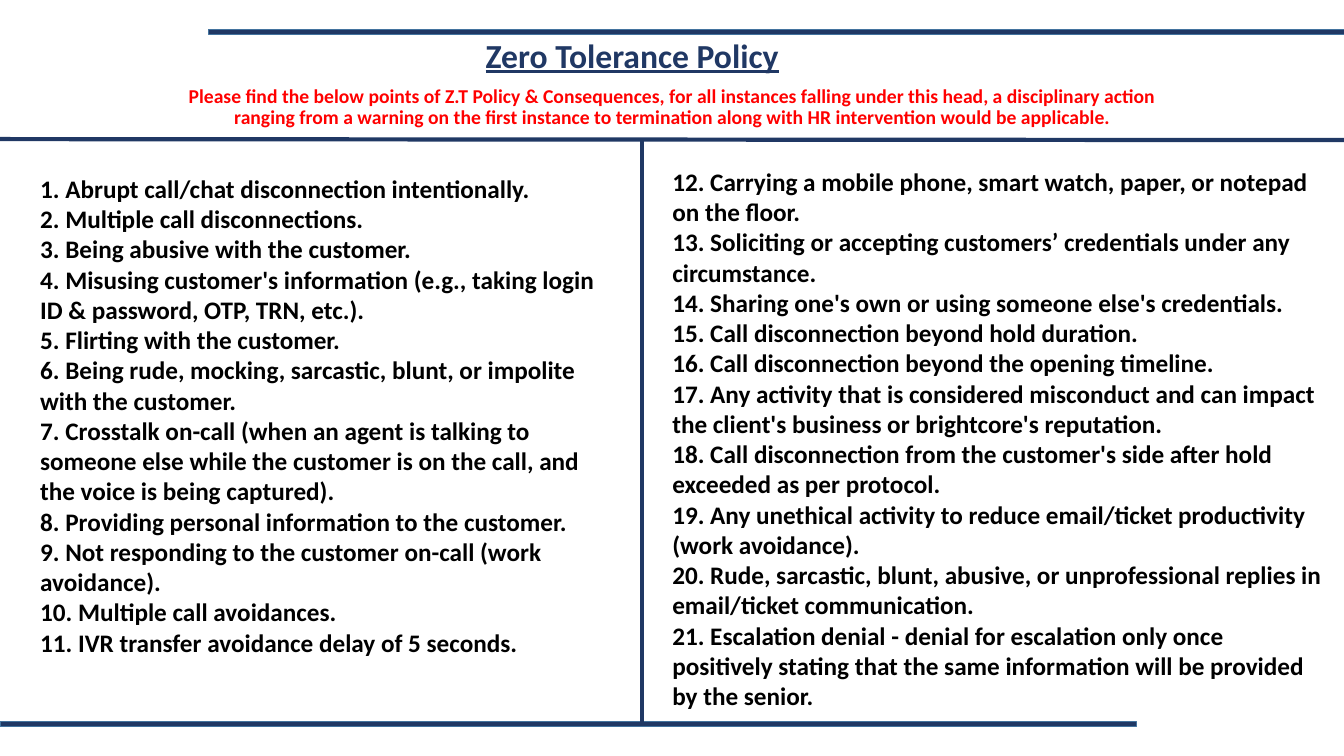
from lxml.etree import SubElement
from pptx import Presentation
from pptx.dml.color import RGBColor
from pptx.enum.shapes import MSO_CONNECTOR, MSO_SHAPE
from pptx.enum.text import MSO_ANCHOR, MSO_AUTO_SIZE, PP_ALIGN
from pptx.oxml.ns import qn
from pptx.util import Inches, Pt

NAVY = RGBColor(0x20, 0x38, 0x64)
EDGE = RGBColor(0x43, 0x73, 0x9E)
RED = RGBColor(0xFF, 0x00, 0x00)
BLACK = RGBColor(0x00, 0x00, 0x00)

TITLE = "Zero Tolerance Policy"
INTRO = (
    "Please find the below points of Z.T Policy & Consequences, for all instances "
    "falling under this head, a disciplinary action ranging from a warning on the "
    "first instance to termination along with HR intervention would be applicable."
)
LEFT = [
    "Abrupt call/chat disconnection intentionally.",
    "Multiple call disconnections.",
    "Being abusive with the customer.",
    "Misusing customer's information (e.g., taking login ID & password, OTP, TRN, etc.).",
    "Flirting with the customer.",
    "Being rude, mocking, sarcastic, blunt, or impolite with the customer.",
    "Crosstalk on-call (when an agent is talking to someone else while the customer "
    "is on the call, and the voice is being captured).",
    "Providing personal information to the customer.",
    "Not responding to the customer on-call (work avoidance).",
    "Multiple call avoidances.",
    "IVR transfer avoidance delay of 5 seconds.",
]
RIGHT = [
    "Carrying a mobile phone, smart watch, paper, or notepad on the floor.",
    "Soliciting or accepting customers’ credentials under any circumstance.",
    "Sharing one's own or using someone else's credentials.",
    "Call disconnection beyond hold duration.",
    "Call disconnection beyond the opening timeline.",
    "Any activity that is considered misconduct and can impact the client's business "
    "or brightcore's reputation.",
    "Call disconnection from the customer's side after hold exceeded as per protocol.",
    "Any unethical activity to reduce email/ticket productivity (work avoidance).",
    "Rude, sarcastic, blunt, abusive, or unprofessional replies in email/ticket "
    "communication.",
    "Escalation denial - denial for escalation only once positively stating that the "
    "same information will be provided by the senior.",
]


class Page:
    """Holds the style and the current slide."""

    face = "Calibri"

    def __init__(self, slide):
        self.slide = slide

    def style(self, para, size, color):
        font = para.font
        font.name, font.size, font.bold = self.face, Pt(size), True
        font.color.rgb = color

    def head(self, holder, text, box, size, color, anchor):
        holder.left, holder.top, holder.width, holder.height = map(Inches, box)
        frame = holder.text_frame
        frame.text = text
        frame.word_wrap = True
        frame.auto_size = MSO_AUTO_SIZE.NONE
        frame.vertical_anchor = anchor
        para = frame.paragraphs[0]
        para.alignment = PP_ALIGN.CENTER
        para.line_spacing = 0.9
        para.space_before = Pt(0)
        self.style(para, size, color)
        return para

    def bar(self, left, top):
        box = map(Inches, (left, top, 11.27, 0.05))
        shape = self.slide.shapes.add_shape(MSO_SHAPE.RECTANGLE, *box)
        shape.shadow.inherit = False
        shape.fill.solid()
        shape.fill.fore_color.rgb = NAVY
        shape.line.color.rgb = EDGE
        shape.line.width = Pt(1)

    def points(self, items, first, box):
        shape = self.slide.shapes.add_textbox(*map(Inches, box))
        frame = shape.text_frame
        frame.word_wrap = True
        frame.auto_size = MSO_AUTO_SIZE.SHAPE_TO_FIT_TEXT
        frame.text = "\n".join(f"{num}. {item}" for num, item in enumerate(items, first))
        for para in frame.paragraphs:
            self.style(para, 18, BLACK)

    def rule(self, *ends):
        line = self.slide.shapes.add_connector(MSO_CONNECTOR.STRAIGHT, *map(Inches, ends))
        line.line.color.rgb = NAVY
        line.line.width = Pt(3)
        SubElement(line._element.spPr, qn("a:effectLst"))


def main():
    deck = Presentation()
    deck.slide_width, deck.slide_height = Inches(13.33), Inches(7.5)
    slide = deck.slides.add_slide(deck.slide_layouts[0])
    page = Page(slide)

    # Bars at the foot and the top
    page.bar(0, 7.16)
    page.bar(2.07, 0.29)

    # Title and introduction
    title = page.head(slide.shapes.title, TITLE, (3.23, 0.51, 6.08, 0.29),
                      24, NAVY, MSO_ANCHOR.BOTTOM)
    title.font.underline = True
    page.head(slide.placeholders[1], INTRO, (1.67, 0.81, 10, 1.81),
              14, RED, MSO_ANCHOR.TOP)

    # Two columns of numbered points
    page.points(LEFT, 1, (0.3, 1.67, 5.87, 5.25))
    page.points(RIGHT, len(LEFT) + 1, (6.57, 1.6, 6.66, 5.86))

    # Rules between the columns and under the heading
    page.rule(6.37, 1.38, 6.37, 7.16)
    page.rule(13.33, 1.39, 0, 1.38)

    deck.save("out.pptx")


if __name__ == "__main__":
    main()
